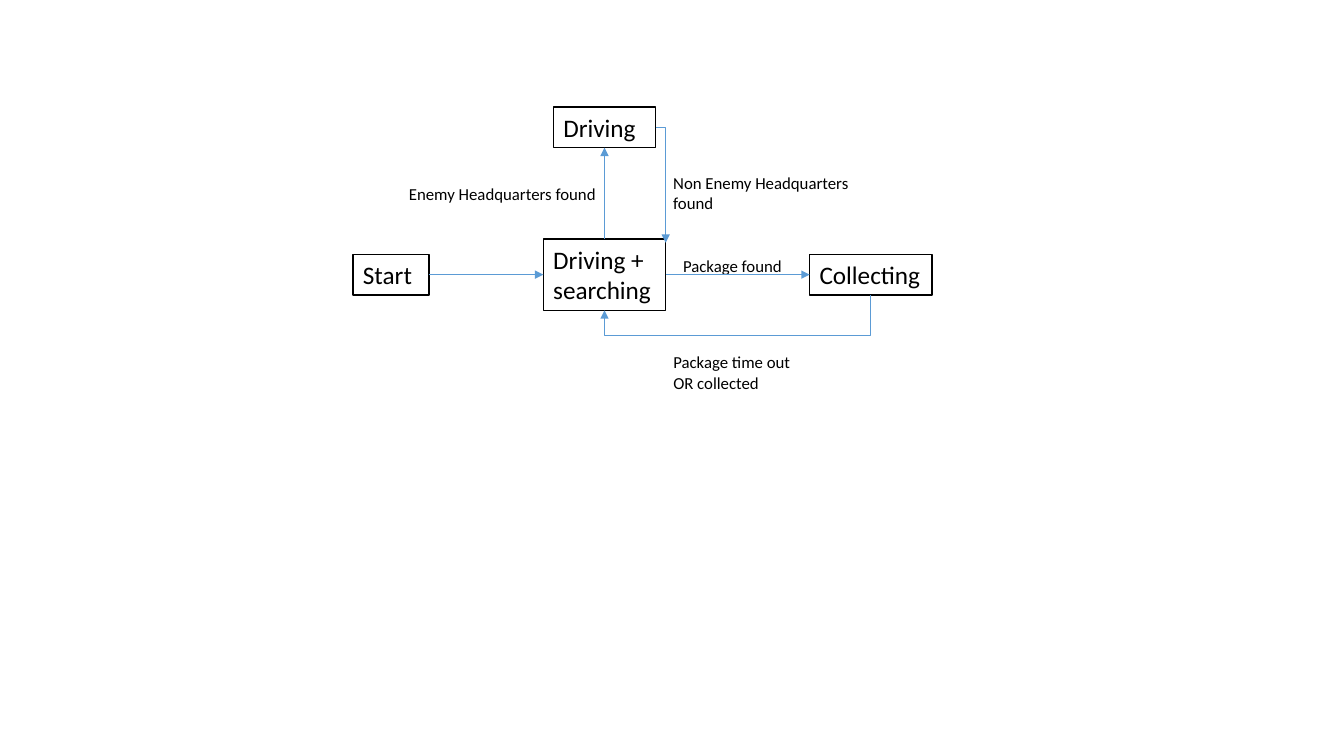
from lxml import etree
from pptx import Presentation
from pptx.dml.color import RGBColor
from pptx.enum.shapes import MSO_CONNECTOR, MSO_SHAPE
from pptx.enum.text import MSO_ANCHOR, PP_ALIGN
from pptx.oxml.ns import qn
from pptx.util import Pt

RECT = MSO_SHAPE.RECTANGLE
STRAIGHT, ELBOW = MSO_CONNECTOR.STRAIGHT, MSO_CONNECTOR.ELBOW
TOP, LEFT = MSO_ANCHOR.TOP, PP_ALIGN.LEFT

COLORS = {"text": "000000", "box": "FFFFFF", "border": "000000", "arrow": "5B9BD5"}
FONT = "Calibri"

# Content: states as (text, centre x, centre y, width, height)
MAIN_X, MAIN_Y = 431.8, 196.2
STATES = {
    "searching": ("Driving + searching", MAIN_X, MAIN_Y, 87.4, 51),
    "collecting": ("Collecting", 622, MAIN_Y, 87.4, 29),
    "start": ("Start", 279.3, MAIN_Y, 54.2, 29),
    "driving": ("Driving ", MAIN_X, 91, 73, 29),
}
# Transition labels as (lines, left, top, width, height)
LABELS = [
    (["Package found"], 480.8, 178.8, 87, 21.8),
    (["Package time out", "OR collected"], 473.8, 248, 101, 36.3),
    (["Enemy Headquarters found"], 285, 127.4, 155, 21.8),
    (["Non Enemy Headquarters found"], 473.8, 119.8, 155, 36.3),
]
RETURN_DROP = 29  # depth of the loop below "Collecting"
CORNER_DIP = 2.8  # how far the arrow tip enters "Driving + searching"

prs = Presentation()
prs.slide_width, prs.slide_height = Pt(960), Pt(540)
slide = prs.slides.add_slide(prs.slide_layouts[6])


def color(name):
    return RGBColor.from_string(COLORS[name])


def write(shape, lines, size):
    frame = shape.text_frame
    frame.word_wrap = True
    frame.vertical_anchor = TOP
    for i, line in enumerate(lines):
        paragraph = frame.add_paragraph() if i else frame.paragraphs[0]
        paragraph.alignment = LEFT
        run = paragraph.add_run()
        run.text = line
        run.font.name, run.font.size = FONT, Pt(size)
        run.font.color.rgb = color("text")


def add_state(text, center_x, center_y, width, height):
    box = slide.shapes.add_shape(RECT, Pt(center_x - width / 2), Pt(center_y - height / 2),
                                 Pt(width), Pt(height))
    box.shadow.inherit = False
    box.fill.solid()
    box.fill.fore_color.rgb = color("box")
    box.line.color.rgb = color("border")
    box.line.width = Pt(1)
    write(box, [text], 18)


def side(state, dx, dy):
    """Middle of a state's edge, or a corner when both steps are set."""
    _, x, y, width, height = STATES[state]
    return x + dx * width / 2, y + dy * height / 2


def add_arrow(start, end, kind=STRAIGHT):
    arrow = slide.shapes.add_connector(kind, *(Pt(v) for v in start + end))
    arrow.line.color.rgb = color("arrow")
    arrow.line.width = Pt(0.5)
    properties = arrow._element.spPr
    etree.SubElement(arrow.line._get_or_add_ln(), qn("a:tailEnd"), type="triangle")
    etree.SubElement(properties, qn("a:effectLst"))
    return arrow, properties


# States and labels
for state in STATES.values():
    add_state(*state)
for lines, *place in LABELS:
    write(slide.shapes.add_textbox(*(Pt(v) for v in place)), lines, 12)

# Straight transitions
add_arrow(side("start", 1, 0), side("searching", -1, 0))
add_arrow(side("searching", 1, 0), side("collecting", -1, 0))
add_arrow(side("searching", 0, -1), side("driving", 0, 1))

# Driving back to searching: one bend
corner_x, corner_y = side("searching", 1, -1)
_, properties = add_arrow(side("driving", 1, 0), (corner_x, corner_y + CORNER_DIP), ELBOW)
properties.find(qn("a:prstGeom")).set("prst", "bentConnector2")

# Collecting back to searching: a U-shaped loop, turned a quarter
(from_x, from_y), (to_x, to_y) = side("collecting", 0, 1), side("searching", 0, 1)
mid_x, mid_y = (from_x + to_x) / 2, (from_y + to_y) / 2
half_rise, half_run = (to_y - from_y) / 2, (from_x - to_x) / 2
_, properties = add_arrow((mid_x - half_rise, mid_y - half_run),
                          (mid_x + half_rise, mid_y + half_run), ELBOW)
properties.find(qn("a:xfrm")).set("rot", str(90 * 60000))
adjust = round(RETURN_DROP / (to_y - from_y) * 100000)
guides = properties.find(qn("a:prstGeom")).find(qn("a:avLst"))
etree.SubElement(guides, qn("a:gd"), name="adj1", fmla=f"val {adjust}")

prs.save("out.pptx")
